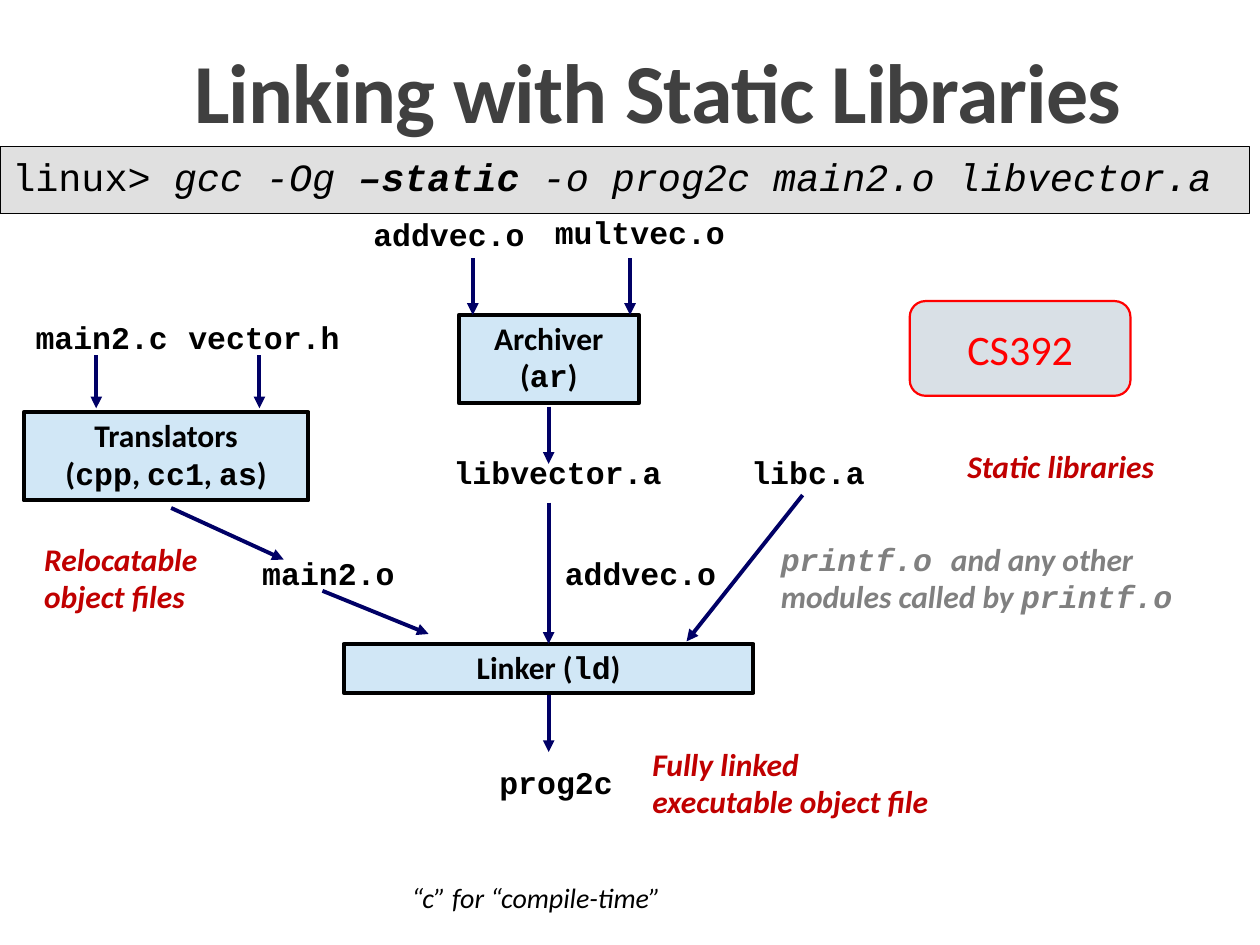
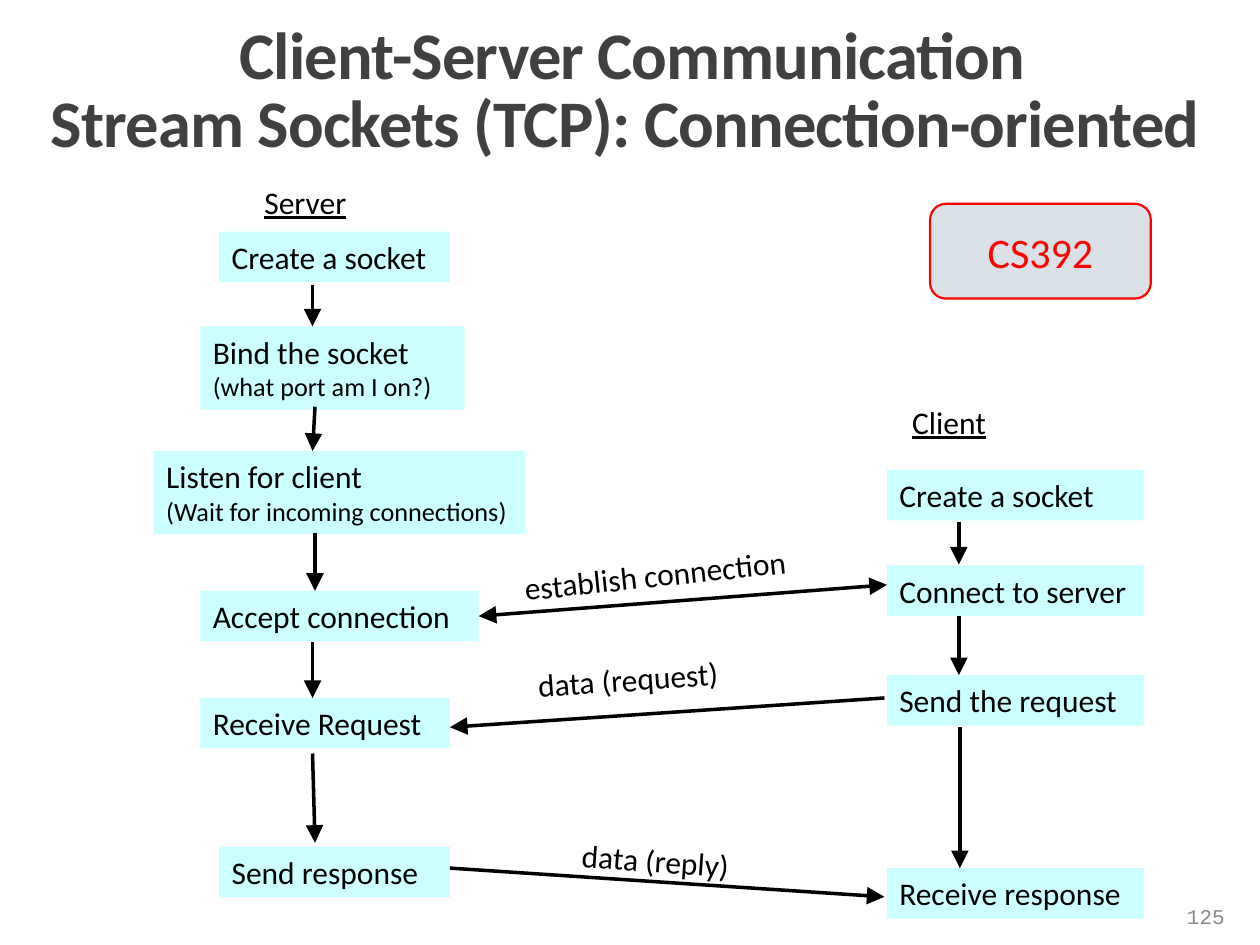
from lxml import etree
from pptx import Presentation
from pptx.dml.color import RGBColor
from pptx.enum.shapes import MSO_CONNECTOR, MSO_SHAPE
from pptx.enum.text import MSO_ANCHOR, MSO_AUTO_SIZE, PP_ALIGN
from pptx.oxml.ns import qn
from pptx.util import Cm, Pt

LEFT, MID, RIGHT = PP_ALIGN.LEFT, PP_ALIGN.CENTER, PP_ALIGN.RIGHT
TOP, CENTER, BOTTOM = MSO_ANCHOR.TOP, MSO_ANCHOR.MIDDLE, MSO_ANCHOR.BOTTOM
RECT, ROUND = MSO_SHAPE.RECTANGLE, MSO_SHAPE.ROUNDED_RECTANGLE
STRAIGHT = MSO_CONNECTOR.STRAIGHT
FIT, FIXED = MSO_AUTO_SIZE.SHAPE_TO_FIT_TEXT, MSO_AUTO_SIZE.NONE

BLACK = RGBColor(0x00, 0x00, 0x00)
INK = RGBColor(0x40, 0x40, 0x40)
NAVY = RGBColor(0x00, 0x00, 0x66)
SKY = RGBColor(0xD1, 0xE7, 0xF6)
AQUA = RGBColor(0xCC, 0xFF, 0xFF)
SILVER = RGBColor(0xE0, 0xE0, 0xE0)
MIST = RGBColor(0xD9, 0xE0, 0xE6)
GRAY = RGBColor(0x80, 0x80, 0x80)
PALE = RGBColor(0x89, 0x89, 0x89)
RED = RGBColor(0xFF, 0x00, 0x00)
BRICK = RGBColor(0xC0, 0x00, 0x00)
SANS, MONO = "Calibri", "Courier New"

# All places are in centimetres; text between backticks is set in MONO.
LINK = {
    "title": (["Linking with Static Libraries"], (1.12, 0.79, 24.28, 2.18), 48),
    "badge": (18.34, 6.07),
    "tools": [
        (["Translators", "(`cpp`, `cc1`, `as`)"], (0.48, 8.31, 5.74, 1.78)),
        (["Archiver", "(`ar`)"], (9.25, 6.35, 3.63, 1.78)),
        (["Linker (`ld`)"], (6.93, 12.98, 8.26, 0.99)),
    ],
    "files": [
        ("main2.c", 0.43, 6.35), ("vector.h", 3.51, 6.35),
        ("addvec.o", 7.24, 4.27), ("multvec.o", 10.9, 4.24),
        ("libvector.a", 8.86, 9.07), ("libc.a", 14.86, 9.07),
        ("main2.o", 5.0, 11.1), ("addvec.o", 11.1, 11.1),
        ("prog2c", 9.78, 15.32),
    ],
    "notes": [
        (["Static libraries"], (19.25, 8.92, 4.32, 1.02), BRICK),
        (["Relocatable", "object files"], (0.64, 10.8, 3.63, 1.78), BRICK),
        (["Fully linked", "executable object file"],
         (12.9, 14.94, 6.15, 1.78), BRICK),
        (["`printf.o `and any other", "modules called by `printf.o`"],
         (15.49, 10.8, 8.84, 1.75), GRAY),
    ],
    "arrows": [
        (1.94, 7.16, 1.94, 8.23), (5.23, 7.16, 5.23, 8.23),
        (9.53, 5.21, 9.53, 6.35), (12.7, 5.21, 12.7, 6.35),
        (11.06, 8.2, 11.06, 9.35), (11.06, 10.13, 11.06, 12.98),
        (11.06, 14.02, 11.06, 15.16), (3.45, 10.24, 5.72, 11.28),
        (6.5, 11.91, 8.64, 12.78), (16.18, 9.98, 13.84, 12.93),
    ],
}
COMMAND = [
    ("linux> ", {}),
    ("gcc -Og ", {"italic": True}),
    ("–static ", {"italic": True, "bold": True}),
    ("-o prog2c main2.o libvector.a", {"italic": True}),
]
SOCKET = {
    "title": (["Client-Server Communication\v"
               "Stream Sockets (TCP): Connection-oriented "],
              (0.46, 0.2, 24.56, 3.18), 38),
    "badge": (18.75, 4.11),
    "heads": [("Server", 5.08, 3.56), ("Client", 18.14, 8.0)],
    "steps": [
        ("Create a socket", "", 4.42, 4.67, 4.65),
        ("Bind the socket", "(what port am I on?)", 4.04, 6.58, 5.33),
        ("Listen for client", "(Wait for incoming connections)",
         3.1, 9.09, 7.49),
        ("Accept connection", "", 4.04, 11.91, 5.61),
        ("Receive Request", "", 4.04, 14.07, 5.03),
        ("Send response", "", 4.42, 17.07, 4.65),
        ("Create a socket", "", 17.88, 9.47, 5.18),
        ("Connect to server", "", 17.88, 11.4, 5.18),
        ("Send the request", "", 17.88, 13.61, 5.18),
        ("Receive response", "", 17.88, 17.5, 5.18),
    ],
    "arrows": [
        (6.3, 5.74, 6.3, 6.58), (6.35, 8.2, 6.3, 9.09),
        (6.35, 10.74, 6.35, 11.91), (6.3, 12.95, 6.3, 14.07),
        (6.3, 15.19, 6.35, 16.99), (19.33, 10.52, 19.33, 11.38),
        (19.33, 12.42, 19.33, 13.61), (19.35, 14.66, 19.35, 17.5),
        (17.83, 14.07, 9.07, 14.66), (9.07, 17.5, 17.83, 18.08),
    ],
    "duplex": (17.88, 11.79, 9.65, 12.42),
    "talks": [
        ("establish connection", (10.31, 11.05, 6.35, 1.02), -6, True),
        ("data (request)", (10.59, 13.18, 4.22, 1.02), -4, False),
        ("data (reply)", (11.48, 16.84, 3.53, 1.02), 4.1, False),
    ],
}


def split(line, font):
    """Turn a line into (text, format) runs, with MONO between backticks."""
    if not isinstance(line, str):
        return line
    parts = enumerate(line.split("`"))
    return [(text, {"font": MONO if i % 2 else font}) for i, text in parts if text]


def write(frame, lines, align=LEFT, anchor=TOP, wrap=True, space=None, **base):
    """Fill a text frame; each line is a string or a list of runs."""
    frame.word_wrap = wrap
    frame.auto_size = FIXED if wrap else FIT
    frame.vertical_anchor = anchor
    for i, line in enumerate(lines):
        para = frame.paragraphs[0] if i == 0 else frame.add_paragraph()
        para.alignment = align
        if space:
            para.line_spacing = space
        for text, extra in split(line, base.get("font", SANS)):
            fmt = {**base, **extra}
            for j, piece in enumerate(text.split("\v")):
                if j:
                    para.add_line_break()
                run = para.add_run()
                run.text = piece
                font = run.font
                font.name = fmt.get("font", SANS)
                font.size = Pt(fmt.get("size", 18))
                font.color.rgb = fmt.get("color", BLACK)
                font.bold = fmt.get("bold", False)
                font.italic = fmt.get("italic", False)
                font.underline = fmt.get("under", False)
                if "track" in fmt:
                    run._r.get_or_add_rPr().set("spc", str(fmt["track"]))


def label(slide, lines, place, turn=0, **fmt):
    box = slide.shapes.add_textbox(*map(Cm, place))
    box.rotation = turn
    write(box.text_frame, lines, **fmt)


def block(slide, lines, place, fill, edge=None, width=0, kind=RECT, **fmt):
    shape = slide.shapes.add_shape(kind, *map(Cm, place))
    shape.shadow.inherit = False
    shape.fill.solid()
    shape.fill.fore_color.rgb = fill
    if edge is None:
        shape.line.fill.background()
    else:
        shape.line.color.rgb = edge
        shape.line.width = Pt(width)
    write(shape.text_frame, lines, **fmt)


def arrow(slide, ends, color, width, size="med", both=False):
    link = slide.shapes.add_connector(STRAIGHT, *map(Cm, ends))
    link.line.color.rgb = color
    link.line.width = Pt(width)
    line = link.line._get_or_add_ln()
    for tag in ("a:headEnd", "a:tailEnd") if both else ("a:tailEnd",):
        etree.SubElement(line, qn(tag), type="triangle", w=size, len=size)
    etree.SubElement(link._element.spPr, qn("a:effectLst"))


def start(deck, data):
    """Add a slide with the shared title style and course badge."""
    slide = deck.slides.add_slide(deck.slide_layouts[5])
    lines, place, size = data["title"]
    title = slide.shapes.title
    title.left, title.top, title.width, title.height = map(Cm, place)
    write(title.text_frame, lines, align=MID, anchor=BOTTOM, space=0.85,
          size=size, color=INK, bold=True, track=-50)
    block(slide, ["CS392"], (*data["badge"], 4.45, 1.91), MIST, RED, 1.25,
          kind=ROUND, align=MID, anchor=CENTER, size=24, color=RED)
    return slide


def draw_link(deck):
    slide = start(deck, LINK)
    block(slide, [COMMAND], (0, 2.96, 25.19, 1.35), SILVER, BLACK, 0.75,
          font=MONO, size=22)
    for lines, place in LINK["tools"]:
        block(slide, lines, place, SKY, BLACK, 2.25, align=MID, space=0.98,
              bold=True)
    for name, x, y in LINK["files"]:
        wide = 0.38 * len(name) + 0.58
        label(slide, [name], (x, y, wide, 0.99), wrap=False, align=MID,
              space=0.94, font=MONO, bold=True)
    for lines, place, color in LINK["notes"]:
        label(slide, lines, place, wrap=False, space=0.98, color=color,
              bold=True, italic=True)
    label(slide, ["“c” for “compile-time”"], (8.05, 17.63, 6.05, 0.94),
          wrap=False, size=16, italic=True)
    for ends in LINK["arrows"]:
        arrow(slide, ends, NAVY, 2.25)


def draw_socket(deck):
    slide = start(deck, SOCKET)
    for name, x, y in SOCKET["heads"]:
        label(slide, [name], (x, y, 3.05, 1.09), wrap=False, under=True)
    for name, hint, x, y, wide in SOCKET["steps"]:
        lines = [name, [(hint, {"size": 15})]] if hint else [name]
        block(slide, lines, (x, y, wide, 1.68 if hint else 1.02), AQUA)
    for ends in SOCKET["arrows"]:
        arrow(slide, ends, BLACK, 2, "lg")
    arrow(slide, SOCKET["duplex"], BLACK, 2, "lg", both=True)
    for text, place, turn, wrap in SOCKET["talks"]:
        label(slide, [text], place, turn, wrap=wrap)
    label(slide, ["125"], (22.2, 17.96, 2.74, 1.02), align=RIGHT,
          anchor=CENTER, font=MONO, size=12, color=PALE)


def main():
    deck = Presentation()
    deck.slide_width, deck.slide_height = Cm(25.4), Cm(19.05)
    draw_link(deck)
    draw_socket(deck)
    deck.save("out.pptx")


if __name__ == "__main__":
    main()
